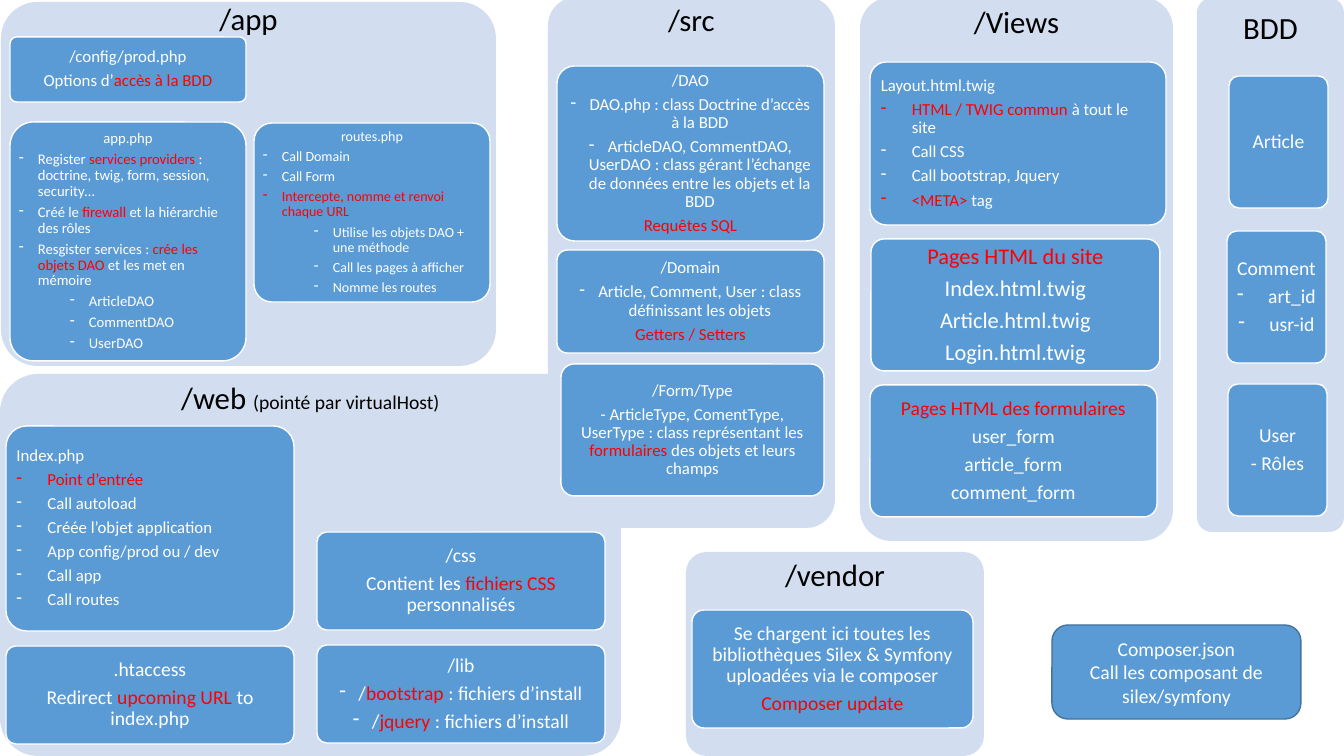
from lxml import etree
from pptx import Presentation
from pptx.dml.color import RGBColor
from pptx.enum.shapes import MSO_SHAPE
from pptx.enum.text import MSO_ANCHOR, PP_ALIGN
from pptx.oxml.ns import qn
from pptx.util import Emu, Pt

ROUNDED = MSO_SHAPE.ROUNDED_RECTANGLE
MIDDLE = MSO_ANCHOR.MIDDLE
LEFT, CENTER = PP_ALIGN.LEFT, PP_ALIGN.CENTER

PALE = RGBColor(0xD2, 0xDE, 0xEF)
BLUE = RGBColor(0x5B, 0x9B, 0xD5)
DARK_BLUE = RGBColor(0x43, 0x73, 0x9E)
WHITE = RGBColor(0xFF, 0xFF, 0xFF)
BLACK = RGBColor(0, 0, 0)
RED = RGBColor(0xFF, 0, 0)

PX = 914400 / 100.8
SUB_LEVEL = 51  # extra indent of a second-level bullet
CAPTION_HEIGHT = 40


def rounded_box(bounds, fill, outline=None, corner=0.1):
    """Add a flat rounded rectangle, with bounds in pixels."""
    box = slide.shapes.add_shape(ROUNDED, *[Emu(round(v * PX)) for v in bounds])
    box.adjustments[0] = corner
    box.shadow.inherit = False
    box.fill.solid()
    box.fill.fore_color.rgb = fill
    if outline is None:
        box.line.fill.background()
    else:
        box.line.color.rgb = outline
        box.line.width = Pt(1)
    return box


def write(frame, lines, size, side=0, edge=0, head=CENTER, item=LEFT, hang=19,
          color=WHITE, leading=0.9, gap=0.35):
    """Fill a frame: '•' and '◦' open bullets of level 1 and 2, *...* is red."""
    frame.word_wrap = True
    frame.vertical_anchor = MIDDLE
    frame.margin_left = frame.margin_right = Emu(round(side * PX))
    frame.margin_top = frame.margin_bottom = Emu(round(edge * PX))
    for number, line in enumerate(lines):
        paragraph = frame.add_paragraph() if number else frame.paragraphs[0]
        bulleted = line[0] in "•◦"
        paragraph.alignment = item if bulleted else head
        paragraph.line_spacing = leading
        paragraph.space_after = Pt(gap * size)
        paragraph.font.name = "Calibri"
        paragraph.font.size = Pt(size)
        paragraph.font.color.rgb = color
        if bulleted:
            level = "•◦".index(line[0])
            paragraph.level = level
            properties = paragraph._p.get_or_add_pPr()
            properties.set("marL", str(round((hang + level * SUB_LEVEL) * PX)))
            properties.set("indent", str(round(-hang * PX)))
            bullet = etree.Element(qn("a:buChar"), char="-")
            properties.find(qn("a:defRPr")).addprevious(bullet)
        for part, words in enumerate(line.lstrip("•◦").split("*")):
            if words:
                run = paragraph.add_run()
                run.text = words
                if part % 2:
                    run.font.color.rgb = RED


# Panel: caption, caption centre, bounds, cards.
# Card: bounds, text size, lines, paragraph options.
CENTERED = {"item": CENTER}
LISTING = {"head": LEFT, "hang": 31}
PANELS = [
    ("/app", 21, (1, 2, 495, 364), [
        ((10, 37, 236, 65), 12,
         ["/config/prod.php", "Options d’*accès à la BDD*"], {}),
        ((10, 122, 236, 239), 10.5,
         ["app.php",
          "•Register *services providers *: doctrine, twig, form, session, security…",
          "•Créé le *firewall* et la hiérarchie des rôles",
          "•Resgister services : *crée les objets DAO* et les met en mémoire",
          "◦ArticleDAO", "◦CommentDAO", "◦UserDAO"], {}),
        ((254, 123, 236, 179), 10,
         ["routes.php", "•Call Domain", "•Call Form",
          "•*Intercepte, nomme et renvoi chaque URL*",
          "◦Utilise les objets DAO + une méthode",
          "◦Call les pages à afficher", "◦Nomme les routes"], {}),
    ]),
    ("/Views", 24, (860, -3, 313, 544), [
        ((870, 62, 296, 163), 12,
         ["Layout.html.twig", "•*HTML / TWIG commun* à tout le site",
          "•Call CSS", "•Call bootstrap, Jquery", "•*<META> *tag"], LISTING),
        ((871, 239, 289, 132), 16,
         ["*Pages HTML du site*", "Index.html.twig", "Article.html.twig",
          "Login.html.twig"], {}),
        ((870, 385, 287, 132), 14,
         ["*Pages HTML des formulaires*", "user_form", "article_form",
          "comment_form"], {}),
    ]),
    ("/vendor", 577, (686, 552, 298, 204), [
        ((692, 610, 281, 118), 14,
         ["Se chargent ici toutes les bibliothèques Silex & Symfony "
          "uploadées via le composer", "*Composer update*"], {}),
    ]),
    ("/web ", 400, (0, 374, 621, 382), [
        ((6, 426, 288, 205), 12,
         ["Index.php", "•*Point d’entrée*", "•Call autoload",
          "•Créée l’objet application", "•App config/prod ou / dev",
          "•Call app", "•Call routes"], LISTING),
        ((6, 646, 288, 98), 14,
         [".htaccess", "Redirect *upcoming URL *to index.php"], {}),
        ((317, 532, 288, 98), 14,
         ["/css", "Contient les *fichiers CSS *personnalisés"], {}),
        ((317, 645, 288, 98), 14,
         ["/lib", "•/*bootstrap* : fichiers d’install",
          "•/*jquery* : fichiers d’install"], CENTERED),
    ]),
    ("BDD", 30, (1197, -2, 147, 534), [
        ((1229, 76, 99, 132), 14, ["Article"], {}),
        ((1227, 231, 99, 132), 14, ["Comment", "•art_id", "•usr-id"],
         {"item": CENTER, "hang": 31}),
        ((1228, 384, 99, 132), 14, ["User", "- Rôles"], {}),
    ]),
    ("/src", 22, (548, -3, 287, 531), [
        ((557, 66, 267, 175), 12,
         ["/DAO", "•DAO.php : class Doctrine d’accès à la BDD",
          "•ArticleDAO, CommentDAO, UserDAO : class gérant l’échange "
          "de données entre les objets et la BDD", "*Requêtes SQL*"], CENTERED),
        ((557, 250, 267, 103), 12,
         ["/Domain", "•Article, Comment, User : class définissant les objets",
          "*Getters / Setters*"], CENTERED),
        ((561, 364, 263, 132), 12,
         ["/Form/Type",
          "- ArticleType, ComentType, UserType : class représentant les "
          "*formulaires* des objets et leurs champs"], {}),
    ]),
]

presentation = Presentation()
presentation.slide_width = Emu(round(1344 * PX))
presentation.slide_height = Emu(round(756 * PX))
slide = presentation.slides.add_slide(presentation.slide_layouts[6])

for name, middle, panel, cards in PANELS:
    rounded_box(panel, PALE)
    band = (panel[0], middle - CAPTION_HEIGHT / 2, panel[2], CAPTION_HEIGHT)
    caption = slide.shapes.add_textbox(*[Emu(round(v * PX)) for v in band])
    write(caption.text_frame, [name], 22, color=BLACK)
    if name == "/web ":
        remark = caption.text_frame.paragraphs[0].add_run()
        remark.text = "(pointé par virtualHost)"
        remark.font.size = Pt(14)
    for bounds, size, lines, options in cards:
        width, height = bounds[2:]
        side = 2 + 0.03 * (width - min(width, height))
        card = rounded_box(bounds, BLUE, WHITE)
        write(card.text_frame, lines, size, side, 2, **options)

composer = rounded_box((1052, 625, 249, 94), BLUE, DARK_BLUE, 0.17)
write(composer.text_frame,
      ["Composer.json", "Call les composant de silex/symfony"],
      14, 10, 5, leading=1.0, gap=0)

presentation.save("out.pptx")
